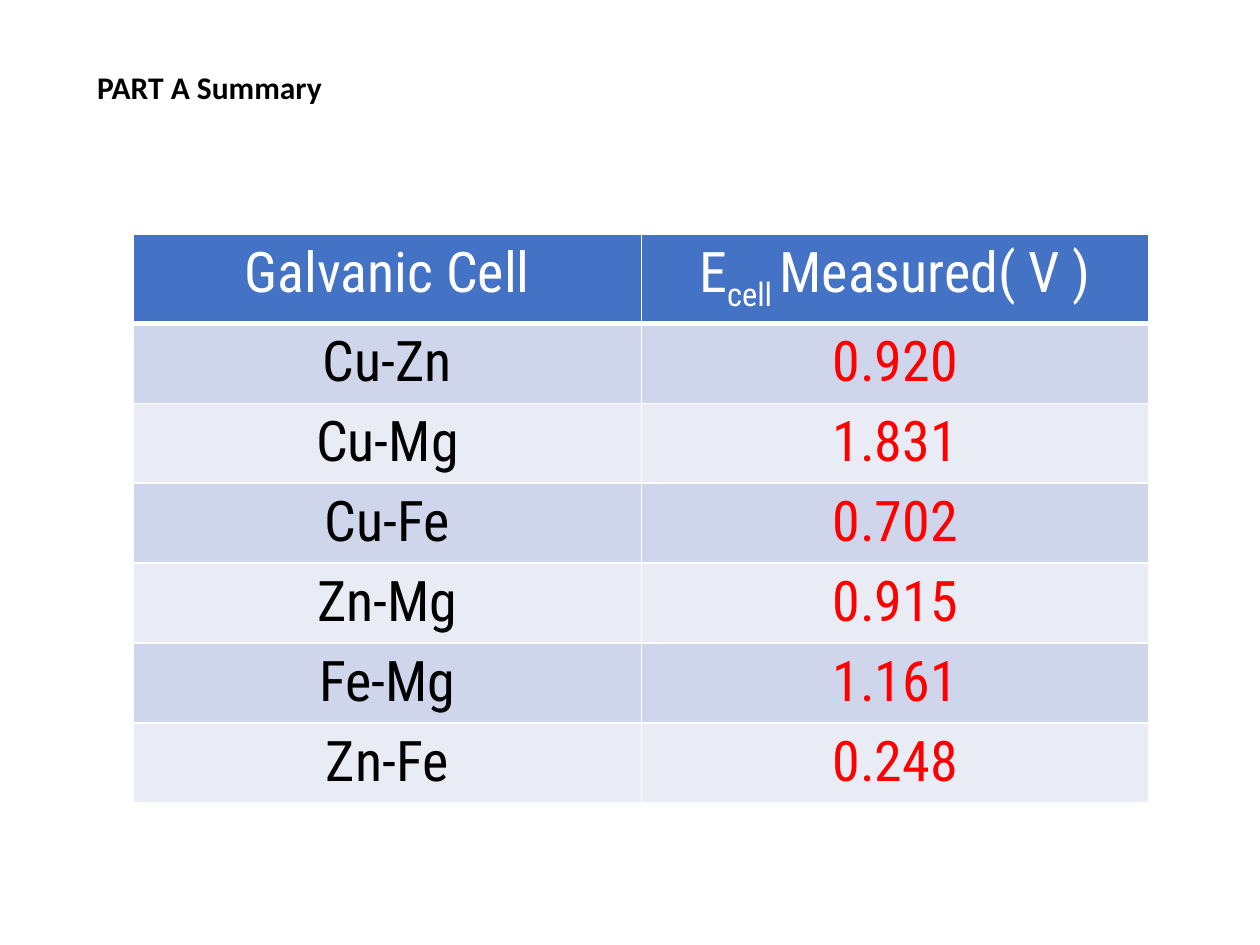
from dataclasses import dataclass

from lxml.etree import SubElement
from pptx import Presentation
from pptx.dml.color import RGBColor
from pptx.enum.text import MSO_ANCHOR, MSO_AUTO_SIZE, PP_ALIGN
from pptx.oxml.ns import qn
from pptx.util import Inches, Pt


@dataclass(frozen=True)
class Theme:
    title_font: str = "Calibri"
    table_font: str = "Roboto Condensed"
    title_size: Pt = Pt(18)
    table_size: Pt = Pt(32)
    black: RGBColor = RGBColor(0x00, 0x00, 0x00)
    white: RGBColor = RGBColor(0xFF, 0xFF, 0xFF)
    red: RGBColor = RGBColor(0xFF, 0x00, 0x00)
    header: RGBColor = RGBColor(0x44, 0x72, 0xC4)
    bands: tuple[RGBColor, RGBColor] = (
        RGBColor(0xCF, 0xD5, 0xEA),
        RGBColor(0xE9, 0xEB, 0xF5),
    )


@dataclass(frozen=True)
class Span:
    text: str
    baseline: int = 0  # thousandths of a percent, negative for subscript


@dataclass(frozen=True)
class Measurement:
    galvanic_cell: str
    voltage: str


THEME = Theme()
HEADINGS = (
    (Span("Galvanic Cell"),),
    (Span("E"), Span("cell ", -25000), Span("Measured( V )")),
)
MEASUREMENTS = (
    Measurement("Cu-Zn", "0.920"),
    Measurement("Cu-Mg", "1.831"),
    Measurement("Cu-Fe", "0.702"),
    Measurement("Zn-Mg", "0.915"),
    Measurement("Fe-Mg", "1.161"),
    Measurement("Zn-Fe", "0.248"),
)
HEADER_HEIGHT = Inches(0.68)
ROW_HEIGHT = Inches(0.62)


def fill_cell(cell, spans: tuple[Span, ...], color: RGBColor, background: RGBColor) -> None:
    cell.fill.solid()
    cell.fill.fore_color.rgb = background
    para = cell.text_frame.paragraphs[0]
    para.alignment = PP_ALIGN.CENTER
    for span in spans:
        run = para.add_run()
        run.text = span.text
        font = run.font
        font.name, font.size, font.bold = THEME.table_font, THEME.table_size, False
        font.color.rgb = color
        if span.baseline:
            run._r.get_or_add_rPr().set("baseline", str(span.baseline))


def outline_header(cell) -> None:
    """Give a header cell thin white sides and a thick white bottom."""
    properties = cell._tc.get_or_add_tcPr()
    for side, width in (("L", 1), ("R", 1), ("T", 1), ("B", 3)):
        line = SubElement(properties, qn(f"a:ln{side}"), w=str(Pt(width)))
        fill = SubElement(line, qn("a:solidFill"))
        SubElement(fill, qn("a:srgbClr"), val=str(THEME.white))


def add_title(page) -> None:
    title = page.shapes.title
    title.left, title.top = Inches(0.67), Inches(0.49)
    title.width, title.height = Inches(2), Inches(0.4)
    frame = title.text_frame
    frame.text = "PART A Summary"
    frame.word_wrap = False
    frame.auto_size = MSO_AUTO_SIZE.SHAPE_TO_FIT_TEXT
    frame.vertical_anchor = MSO_ANCHOR.TOP
    para = frame.paragraphs[0]
    para.alignment = PP_ALIGN.LEFT
    para.font.name, para.font.size, para.font.bold = THEME.title_font, THEME.title_size, True
    para.font.color.rgb = THEME.black


def add_measurements(page) -> None:
    table = page.shapes.add_table(
        len(MEASUREMENTS) + 1, len(HEADINGS), Inches(1.06), Inches(1.86),
        Inches(8.06), HEADER_HEIGHT + ROW_HEIGHT * len(MEASUREMENTS),
    ).table
    table.rows[0].height = HEADER_HEIGHT
    for column, spans in enumerate(HEADINGS):
        cell = table.cell(0, column)
        outline_header(cell)
        fill_cell(cell, spans, THEME.white, THEME.header)
    for index, measurement in enumerate(MEASUREMENTS):
        row = index + 1
        table.rows[row].height = ROW_HEIGHT
        band = THEME.bands[index % 2]
        fill_cell(table.cell(row, 0), (Span(measurement.galvanic_cell),), THEME.black, band)
        fill_cell(table.cell(row, 1), (Span(measurement.voltage),), THEME.red, band)


def main() -> None:
    deck = Presentation()
    deck.slide_width, deck.slide_height = Inches(10), Inches(7.5)
    page = deck.slides.add_slide(deck.slide_layouts[5])
    add_title(page)
    add_measurements(page)
    deck.save("out.pptx")


if __name__ == "__main__":
    main()
